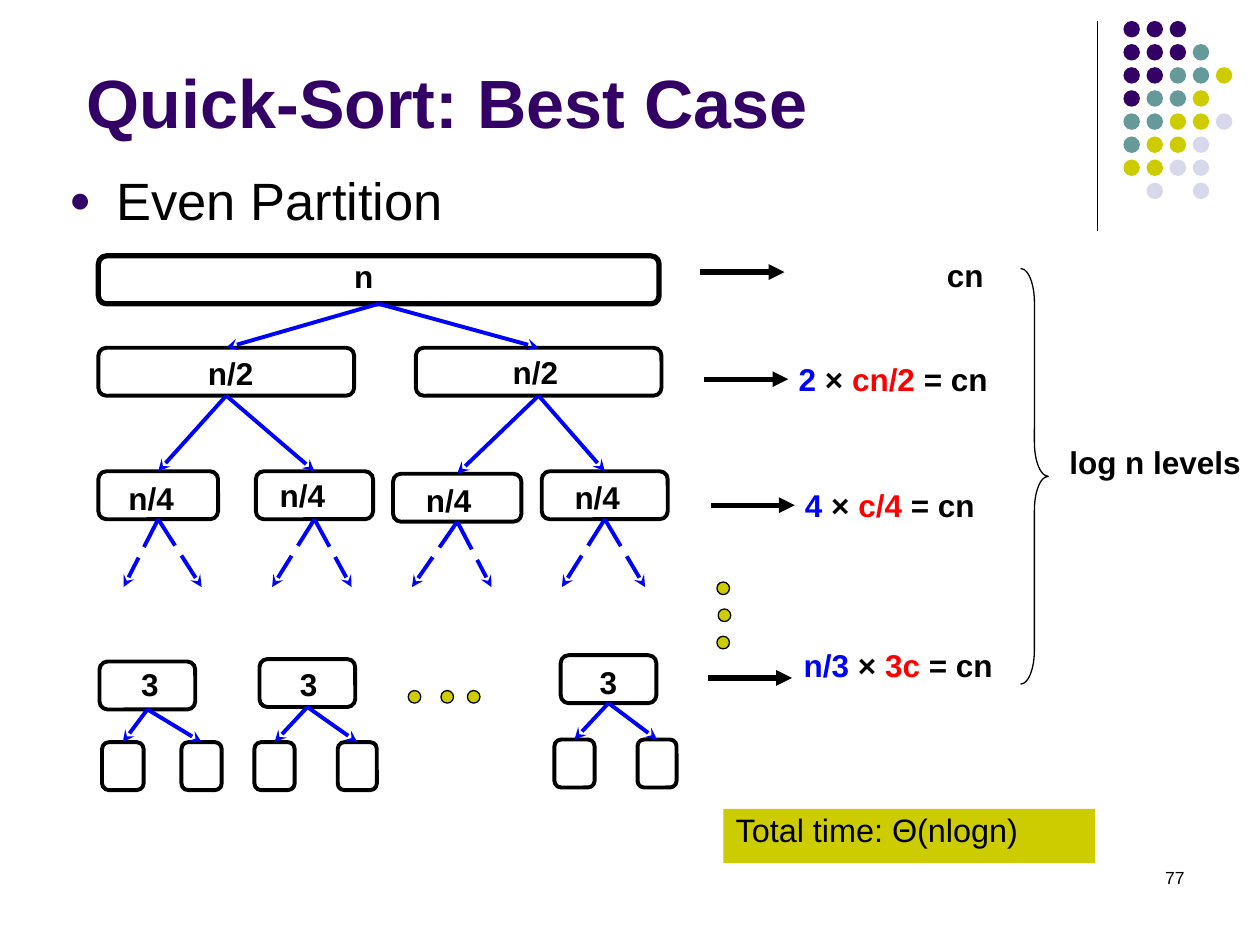
import pptx
import pptx.util
import pptx.dml.color
import pptx.enum.dml
import pptx.enum.shapes
import pptx.enum.text
import pptx.oxml
import pptx.oxml.ns
from lxml import etree

Pt = pptx.util.Pt
MSO = pptx.enum.shapes.MSO_SHAPE
rgb = pptx.dml.color.RGBColor.from_string
qn = pptx.oxml.ns.qn
LEFT = pptx.enum.text.PP_ALIGN.LEFT
RIGHT = pptx.enum.text.PP_ALIGN.RIGHT
PURPLE, TEAL, OLIVE, PALE = "330066", "669999", "CCCC00", "D8D8EC"
BLACK, BLUE, RED = "000000", "0000FF", "FF0000"

prs = pptx.Presentation()
prs.slide_width, prs.slide_height = Pt(720), Pt(540)
s = prs.slides.add_slide(prs.slide_layouts[6])


def shape(kind, x, y, w, h, fill=None, line=None, width=0.75):
    sp = s.shapes.add_shape(kind, Pt(x), Pt(y), Pt(w), Pt(h))
    sp.shadow.inherit = False
    if fill:
        sp.fill.solid()
        sp.fill.fore_color.rgb = rgb(fill)
    else:
        sp.fill.background()
    if line:
        sp.line.color.rgb = rgb(line)
        sp.line.width = Pt(width)
    else:
        sp.line.fill.background()
    return sp


def connect(x1, y1, x2, y2, color, width, head=None, parent=None, child=None):
    cn = s.shapes.add_connector(pptx.enum.shapes.MSO_CONNECTOR.STRAIGHT,
                                Pt(x1), Pt(y1), Pt(x2), Pt(y2))
    if parent is not None:
        cn.begin_connect(parent, 2)
    if child is not None:
        cn.end_connect(child, 0)
    cn.line.color.rgb = rgb(color)
    cn.line.width = Pt(width)
    if head:
        etree.SubElement(cn.line._get_or_add_ln(), qn("a:tailEnd"), type=head)
    etree.SubElement(cn._element.spPr, qn("a:effectLst"))
    return cn


# Corner decoration: vertical rule and dot grid
connect(627, 12, 627, 132, BLACK, 0.75)
dot_colors = {"p": PURPLE, "t": TEAL, "o": OLIVE, "l": PALE}
dot_rows = ["ppp", "pppt", "pptto", "ptto", "ttool", "tool", "ooll", " l l"]
for row, letters in enumerate(dot_rows):
    for col, letter in enumerate(letters):
        if letter in dot_colors:
            shape(MSO.OVAL, 642 + 13.2 * col, 12 + 13.2 * row, 9.4, 9.4,
                  dot_colors[letter])

# Recursion tree boxes: left, top, width, height, line width
root_boxes = [(56.2, 146.2, 320.4, 27.4, 3)]
half_boxes = [(56.2, 198.7, 146.2, 27.4, 2.25), (237.6, 198.7, 140.4, 27.4, 2.25)]
quarter_boxes = [(56.2, 269.3, 68.4, 27.4, 2.25), (146.2, 269.3, 67, 27.4, 2.25),
                 (224.6, 270.7, 73.4, 27.4, 2.25), (309.6, 269.3, 72, 27.4, 2.25)]
base_boxes = [(56.9, 378, 54.7, 27.4, 2.25), (148.3, 376.6, 54.7, 27.4, 2.25),
              (320.4, 374.4, 54.7, 27.4, 2.25)]
leaf_boxes = [(58.3, 424.1, 23.8, 27.4, 2.25), (103.7, 424.1, 23, 27.4, 2.25),
              (145.4, 424.1, 23, 27.4, 2.25), (193, 424.1, 22.3, 27.4, 2.25),
              (316.8, 422.6, 23, 27.4, 2.25), (364.3, 422.6, 22.3, 27.4, 2.25)]
levels = []
for boxes in (root_boxes, half_boxes, quarter_boxes, base_boxes, leaf_boxes):
    level = []
    for x, y, w, h, width in boxes:
        sp = shape(MSO.ROUNDED_RECTANGLE, x, y, w, h, None, BLACK, width)
        sp.adjustments[0] = 0.167
        level.append(sp)
    levels.append(level)
roots, halves, quarters, bases, leaves = levels

# Solid arrows from each parent to its two children
for parents, children in ((roots, halves), (halves, quarters), (bases, leaves)):
    for i, child in enumerate(children):
        connect(0, 0, 0, 0, BLUE, 2.25, "stealth", parents[i // 2], child)

# Dashed arrows towards the levels left out
dashed_ends = [(70.6, 115.2), (155.5, 200.9), (235.4, 280.8), (321.1, 368.6)]
for parent, ends in zip(quarters, dashed_ends):
    for x in ends:
        cn = connect(0, 0, x, 335.5, BLUE, 2.25, "stealth", parent)
        cn.line.dash_style = pptx.enum.dml.MSO_LINE.LONG_DASH

# Arrows to the cost of each level
for x, y in ((400.3, 155.5), (402.5, 216.7), (406.1, 288.7), (404.6, 387.4)):
    connect(x, y, x + 48, y, BLACK, 3, "triangle")

# Ellipsis dots, down and across
for x, y in ((409.7, 332.6), (410.4, 348), (409.7, 363.6),
             (233.3, 394.6), (252, 394.6), (267.1, 394.6)):
    shape(MSO.OVAL, x, y, 7.2, 7.2, OLIVE, BLACK)

# Brace over all levels
brace = shape(MSO.RIGHT_BRACE, 583.2, 153.4, 15.8, 237.6, None, BLACK)
brace.adjustments[0] = 1.23

# Texts: left, top, width, height, inset, alignment, size, bold, runs
texts = [
    (31.7, 25.2, 594, 59.8, 7.2, LEFT, 39, True, [("Quick-Sort: Best Case", PURPLE)]),
    (32.4, 92.7, 648, 375.8, 7.2, LEFT, 30, False, [("Even Partition", BLACK)]),
    (413.3, 462.2, 212.4, 31, 7.2, LEFT, 18.5, False, [("Total time: Θ(nlogn)", BLACK)]),
    (516.2, 491.8, 167.8, 36, 7.2, RIGHT, 10, False, [("77", BLACK)]),
    (463.7, 142.6, 105.5, 28.8, 7.2, RIGHT, 18, True, [("cn", BLACK)]),
    (604, 249.8, 116, 28.8, 7.2, LEFT, 18, True, [("log n levels", BLACK)]),
]
costs = [(449.3, 202.3, "2", "cn/2"), (452.9, 274.3, "4", "c/4"),
         (452.2, 365.8, "n/3", "3c")]
for x, y, count, cost in costs:
    texts.append((x, y, 130, 28.8, 7.2, LEFT, 18, True,
                  [(count, BLUE), (" × ", BLACK), (cost, RED), (" = cn", BLACK)]))
node_labels = [("n", 202.3, 146.9), ("n/2", 118.8, 202.3), ("n/2", 293, 201.6),
               ("n/4", 73.4, 273.6), ("n/4", 159.8, 272.2), ("n/4", 243.4, 275),
               ("n/4", 328.3, 272.9), ("3", 80.6, 380.2), ("3", 171.4, 380.2),
               ("3", 342.7, 378.7)]
for label, x, y in node_labels:
    texts.append((x, y, 34, 21.6, 0, LEFT, 18, True, [(label, BLACK)]))

made = []
for x, y, w, h, inset, align, size, bold, runs in texts:
    tb = s.shapes.add_textbox(Pt(x), Pt(y), Pt(w), Pt(h))
    tf = tb.text_frame
    tf.word_wrap = True
    tf.margin_left = tf.margin_right = Pt(inset)
    tf.margin_top = tf.margin_bottom = Pt(inset / 2)
    p = tf.paragraphs[0]
    p.alignment = align
    for words, color in runs:
        r = p.add_run()
        r.text = words
        r.font.name = "Arial"
        r.font.size = Pt(size)
        r.font.bold = bold
        r.font.color.rgb = rgb(color)
    made.append(tb)
title, body, total = made[:3]

# Title sits at the bottom of its box
title.text_frame.vertical_anchor = pptx.enum.text.MSO_ANCHOR.BOTTOM
title.text_frame.margin_left = Pt(18)

# Bullet of the body line
pPr = body.text_frame.paragraphs[0]._p.get_or_add_pPr()
pPr.set("marL", str(Pt(27)))
pPr.set("indent", str(Pt(-27)))
clr = etree.SubElement(pPr, qn("a:buClr"))
etree.SubElement(clr, qn("a:srgbClr"), val=PURPLE)
etree.SubElement(pPr, qn("a:buSzPct"), val="70000")
etree.SubElement(pPr, qn("a:buFont"), typeface="Arial")
etree.SubElement(pPr, qn("a:buChar"), char="●")

# Result box
total.fill.solid()
total.fill.fore_color.rgb = rgb(OLIVE)
total.text_frame.paragraphs[0].line_spacing = 0.9

prs.save("out.pptx")
